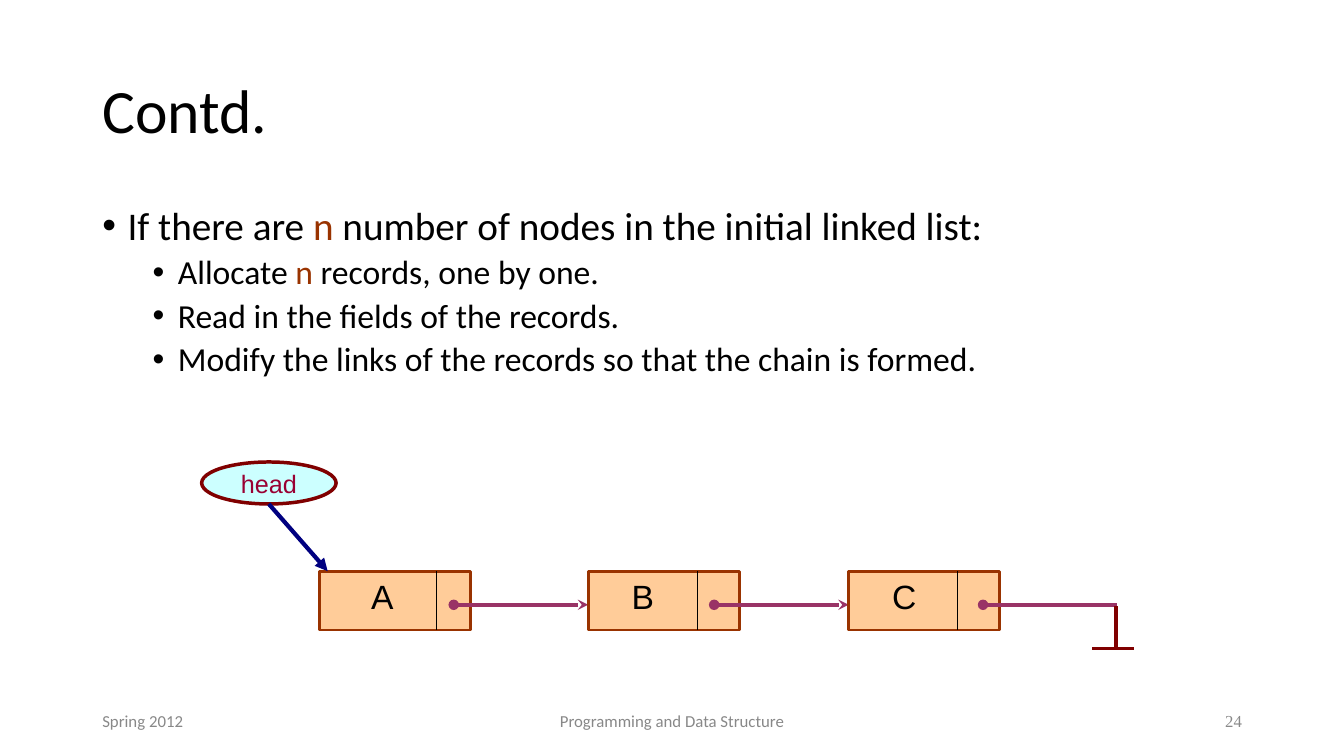
from lxml.etree import SubElement
from pptx import Presentation
from pptx.dml.color import RGBColor
from pptx.enum.shapes import MSO_CONNECTOR, MSO_SHAPE
from pptx.enum.text import MSO_ANCHOR, PP_ALIGN
from pptx.oxml.ns import qn
from pptx.util import Inches, Pt


class Theme:
    sans, label, serif = "Calibri", "Arial", "Times New Roman"
    ink, accent, muted, number = "000000", "993300", "888888", "898989"
    node, link, ground, pointer = "FFCC99", "993366", "800000", "000080"
    oval, name = "CCFFFF", "990033"
    title, lead, point, tag, foot = 44, 28, 24, 18, 12
    thin, edge, line, bold = 0.75, 2, 2.5, 3


# The grid has twelve cells to the inch; boxes are (column, row, columns, rows)
def cell(count):
    return Inches(count / 12)


def color(code):
    return RGBColor.from_string(code)


def add_run(par, text, size, font=Theme.sans, ink=Theme.ink):
    run = par.add_run()
    run.text = text
    run.font.size = Pt(size)
    run.font.name = font
    run.font.color.rgb = color(ink)


def add_text(shapes, box, anchor=MSO_ANCHOR.TOP):
    frame = shapes.add_textbox(*map(cell, box)).text_frame
    frame.word_wrap = True
    frame.vertical_anchor = anchor
    return frame


def add_form(shapes, kind, box, fill, edge, width):
    form = shapes.add_shape(kind, *map(cell, box))
    form.shadow.inherit = False
    form.fill.solid()
    form.fill.fore_color.rgb = color(fill)
    form.line.color.rgb = color(edge)
    form.line.width = Pt(width)
    return form


def add_line(shapes, start, end, ink, width, head=None, tail=None):
    line = shapes.add_connector(MSO_CONNECTOR.STRAIGHT, *map(cell, start + end))
    line.line.color.rgb = color(ink)
    line.line.width = Pt(width)
    for tag, kind in (("a:headEnd", head), ("a:tailEnd", tail)):
        if kind:
            SubElement(line.line._get_or_add_ln(), qn(tag), type=kind)
    SubElement(line._element.spPr, qn("a:effectLst"))


def add_bullet(par, level):
    par.level = level
    par.line_spacing = 0.9
    par.space_before = Pt(5 * level)
    props = par._p.get_or_add_pPr()
    props.set("marL", str(Inches(0.25 + 0.5 * level)))
    props.set("indent", str(-Inches(0.25)))
    tint = SubElement(props, qn("a:buClr"))
    SubElement(tint, qn("a:srgbClr"), val=Theme.ink)
    SubElement(props, qn("a:buFont"), typeface=Theme.label)
    SubElement(props, qn("a:buChar"), char="•")


def add_title(shapes, box, text):
    par = add_text(shapes, box, MSO_ANCHOR.MIDDLE).paragraphs[0]
    par.line_spacing = 0.9
    add_run(par, text, Theme.title)


def add_body(shapes, box, points):
    frame = add_text(shapes, box)
    for i, (level, parts) in enumerate(points):
        par = frame.add_paragraph() if i else frame.paragraphs[0]
        add_bullet(par, level)
        for part in parts:
            add_run(par, part, Theme.point if level else Theme.lead,
                    ink=Theme.accent if part == "n" else Theme.ink)


def add_foot(shapes, box, date, course, page):
    left, top, width, height = box
    side, mid = 36, 54
    slots = (
        (left, side, date, PP_ALIGN.LEFT, Theme.sans, Theme.muted),
        (left + (width - mid) / 2, mid, course, PP_ALIGN.CENTER,
         Theme.sans, Theme.muted),
        (left + width - side, side, page, PP_ALIGN.RIGHT,
         Theme.serif, Theme.number),
    )
    for x, span, text, align, font, ink in slots:
        par = add_text(shapes, (x, top, span, height),
                       MSO_ANCHOR.MIDDLE).paragraphs[0]
        par.alignment = align
        add_run(par, text, Theme.foot, font, ink)


def add_chain(shapes, box, nodes):
    left, top, width, height = box
    group = shapes.add_group_shape().shapes
    mid = top + 4
    # Each node: its offset, its divider, its dot and the end of its link
    for i, (text, start, split, dot, end) in enumerate(nodes):
        x, cut = left + start, left + split
        add_form(group, MSO_SHAPE.RECTANGLE, (x, top, 18, height),
                 Theme.node, Theme.accent, Theme.edge)
        add_line(group, (cut, top), (cut, top + height), Theme.ink, Theme.thin)
        last = i == len(nodes) - 1
        add_line(group, (left + dot, mid), (left + end, mid), Theme.link,
                 Theme.line, "oval", None if last else "stealth")
        par = add_text(group, (cut - 9, top, 8, 6)).paragraphs[0]
        add_run(par, text, Theme.point, Theme.label)
    # Ground sign that ends the list
    right, base = left + width, top + 9.2
    add_line(group, (right - 2.2, mid + 0.2), (right - 2.2, base),
             Theme.ground, Theme.line)
    add_line(group, (right - 5, base), (right, base), Theme.ground, Theme.line)


def add_head(shapes, box, text, goal):
    left, top, width, height = box
    oval = add_form(shapes, MSO_SHAPE.OVAL, box, Theme.oval,
                    Theme.ground, Theme.line)
    frame = oval.text_frame
    frame.word_wrap = False
    frame.vertical_anchor = MSO_ANCHOR.MIDDLE
    par = frame.paragraphs[0]
    par.alignment = PP_ALIGN.CENTER
    add_run(par, text, Theme.tag, Theme.label, Theme.name)
    add_line(shapes, (left + width / 2, top + height), goal,
             Theme.pointer, Theme.bold, tail="triangle")


def main():
    deck = Presentation()
    deck.slide_width, deck.slide_height = Inches(13.33), Inches(7.5)
    shapes = deck.slides.add_slide(deck.slide_layouts[6]).shapes
    add_title(shapes, (11, 4.8, 138, 17.4), "Contd.")
    add_body(shapes, (11, 24, 138, 57), (
        (0, ("If there are ", "n",
             " number of nodes in the initial linked list:")),
        (1, ("Allocate ", "n", " records, one by one.")),
        (1, ("Read in the fields of the records.",)),
        (1, ("Modify the links of the records so that the chain is formed.",)),
    ))
    add_foot(shapes, (11, 83.4, 138, 4.8),
             "Spring 2012", "Programming and Data Structure", "24")
    add_chain(shapes, (38, 68, 97, 7), (
        ("A", 0, 14, 16, 32),
        ("B", 32, 45, 47, 63),
        ("C", 63, 76, 79, 95),
    ))
    add_head(shapes, (24, 55, 16, 5), "head", (39, 68))
    deck.save("out.pptx")


if __name__ == "__main__":
    main()
